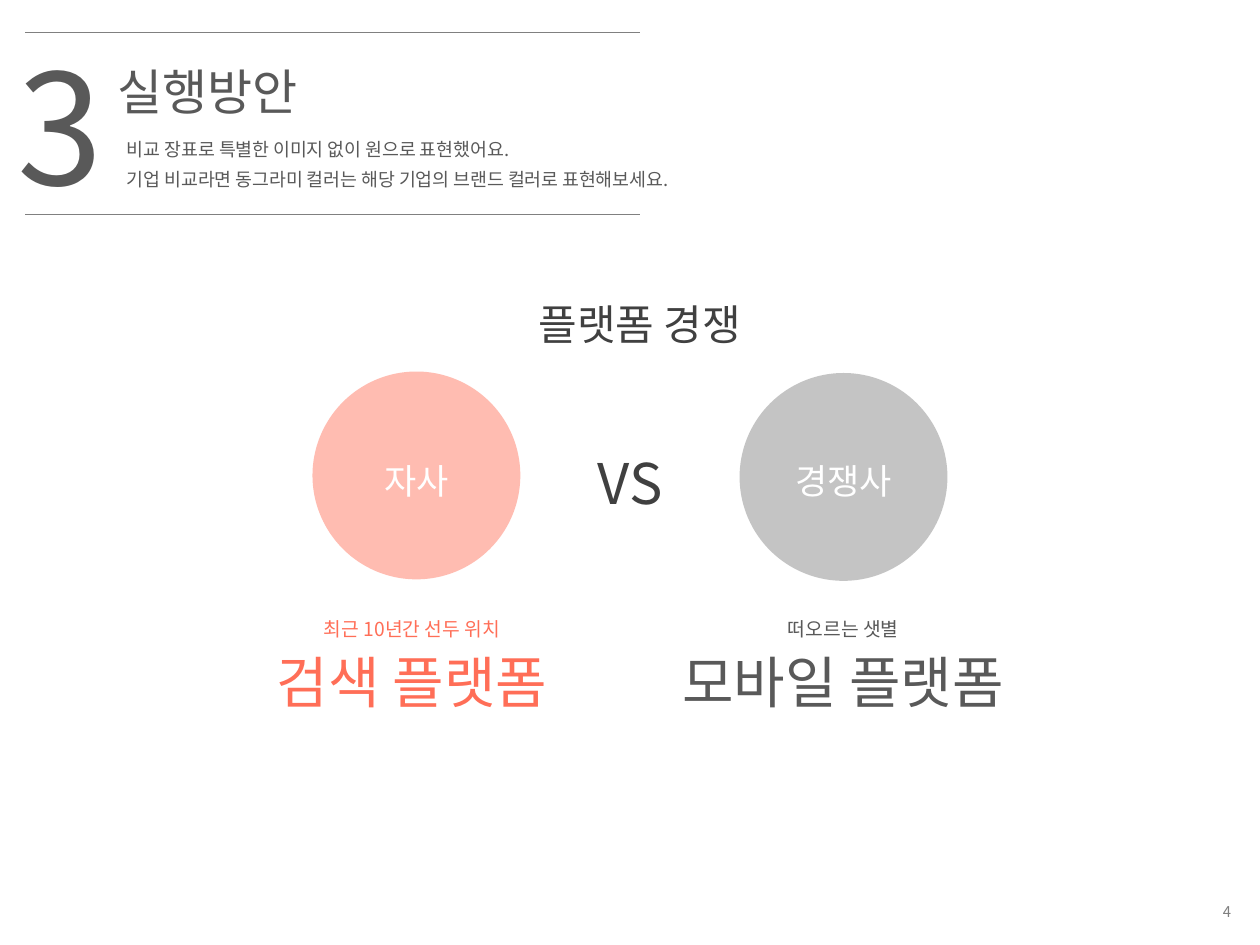
from lxml.etree import SubElement
from pptx import Presentation
from pptx.dml.color import RGBColor
from pptx.enum.shapes import MSO_CONNECTOR, MSO_SHAPE
from pptx.enum.text import MSO_ANCHOR, PP_ALIGN
from pptx.oxml.ns import qn
from pptx.util import Cm, Pt

FONT = "Noto Sans CJK KR"
CORAL = RGBColor(0xFF, 0x6E, 0x57)
GRAY = RGBColor(0x80, 0x80, 0x80)
DARK = RGBColor(0x59, 0x59, 0x59)
INK = RGBColor(0x40, 0x40, 0x40)
WHITE = RGBColor(0xFF, 0xFF, 0xFF)
LEFT, MID, RIGHT = PP_ALIGN.LEFT, PP_ALIGN.CENTER, PP_ALIGN.RIGHT

deck = Presentation()
deck.slide_width, deck.slide_height = Cm(25.4), Cm(19.05)
slide = deck.slides.add_slide(deck.slide_layouts[5])
shapes = slide.shapes


def write(box, lines, size, color, align=MID, anchor=MSO_ANCHOR.TOP, space=None):
    frame = box.text_frame
    frame.word_wrap = True
    frame.vertical_anchor = anchor
    frame.text = "\n".join(lines)
    for para in frame.paragraphs:
        para.alignment = align
        if space:
            para.line_spacing = Pt(space)
        style = {"name": FONT, "size": Pt(size)}
        for key, value in style.items():
            setattr(para.font, key, value)
        para.font.color.rgb = color
        for run in para.runs:
            fonts = run._r.get_or_add_rPr()
            SubElement(fonts, qn("a:ea")).set("typeface", FONT)


def label(left, top, width, height, *text, **look):
    box = shapes.add_textbox(Cm(left), Cm(top), Cm(width), Cm(height))
    write(box, *text, **look)


# Header rules
for y in (0.66, 4.32):
    rule = shapes.add_connector(MSO_CONNECTOR.STRAIGHT, Cm(0.51), Cm(y), Cm(12.9), Cm(y))
    rule.line.color.rgb = GRAY
    rule.line.width = Pt(0.75)
    SubElement(rule._element.spPr, qn("a:effectLst"))

# Title, section number and lead text
title = shapes.title
place = {"left": 2.11, "top": 1.12, "width": 11.4, "height": 1.45}
for key, value in place.items():
    setattr(title, key, Cm(value))
write(title, ["실행방안"], 28, DARK, LEFT)
label(0.1, 0.51, 3, 4.01, ["3"], 88, DARK, align=LEFT)
lead = ["비교 장표로 특별한 이미지 없이 원으로 표현했어요.",
        "기업 비교라면 동그라미 컬러는 해당 기업의 브랜드 컬러로 표현해보세요."]
label(2.31, 2.51, 11.61, 1.47, lead, 10.5, DARK, align=LEFT, space=17)

# Heading of the comparison
label(8.1, 5.89, 9.6, 1.27, ["플랫폼 경쟁"], 24, INK)
label(10.31, 8.92, 4.8, 1.63, ["VS"], 32, INK)

# Two sides: circle left, circle top, text centre, circle colour, text colour, words
SIDES = [
    (6.3, 7.49, 8.31, CORAL, CORAL, "자사", "최근 10년간 선두 위치", "검색 플랫폼"),
    (14.91, 7.52, 17.0, GRAY, DARK, "경쟁사", "떠오르는 샛별", "모바일 플랫폼"),
]
SIZE, WIDE = 4.19, 8.8
for left, top, mid, fill, color, name, note, head in SIDES:
    disc = shapes.add_shape(MSO_SHAPE.OVAL, Cm(left), Cm(top), Cm(SIZE), Cm(SIZE))
    disc.shadow.inherit = False
    disc.fill.solid()
    disc.fill.fore_color.rgb = fill
    disc.line.fill.background()
    tint = disc._element.spPr.find(qn("a:solidFill"))[0]
    SubElement(tint, qn("a:alpha")).set("val", "46000")
    label(left, 9.14, SIZE, 1.12, [name], 20, WHITE)
    label(mid - WIDE / 2, 12.32, WIDE, 0.74, [note], 11, color)
    label(mid - WIDE / 2, 12.93, WIDE, 1.63, [head], 32, color)

# Page number
label(19.71, 18.03, 5.36, 0.69, ["4"], 8.5, GRAY, align=RIGHT, anchor=MSO_ANCHOR.MIDDLE)

deck.save("out.pptx")
